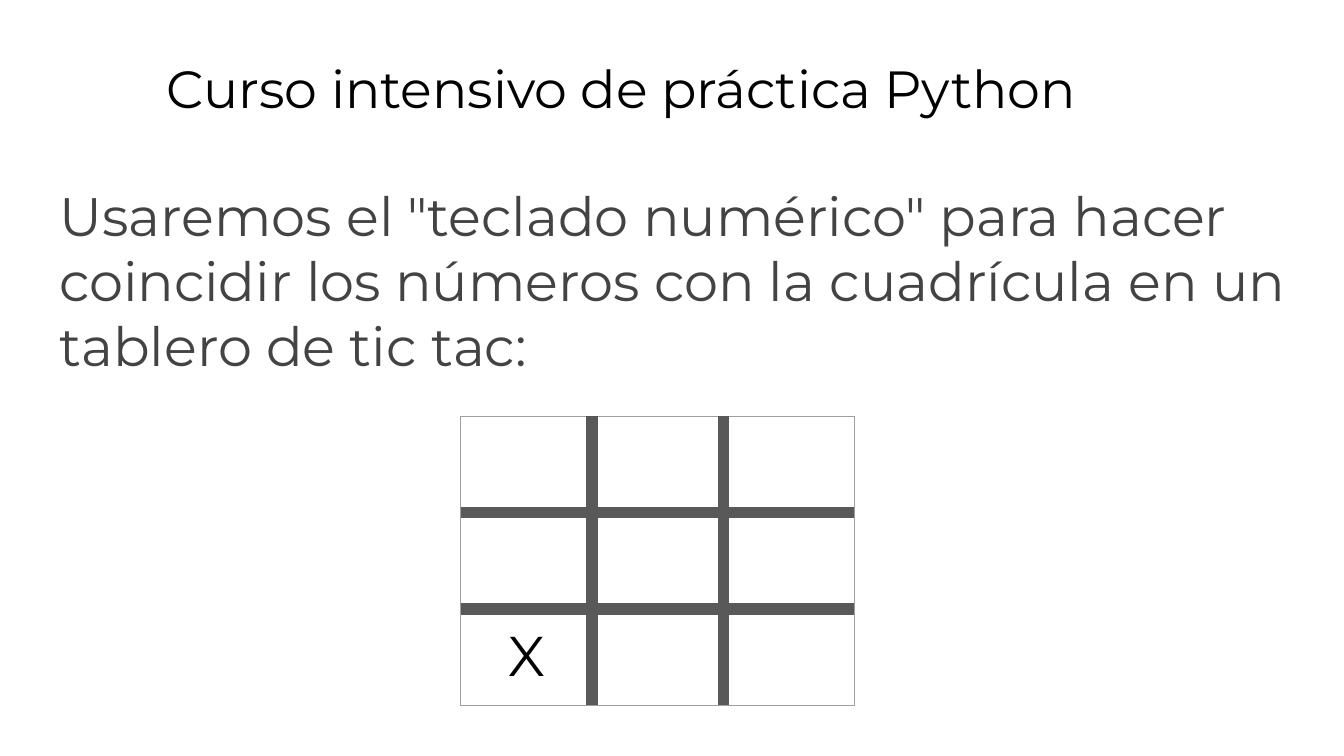
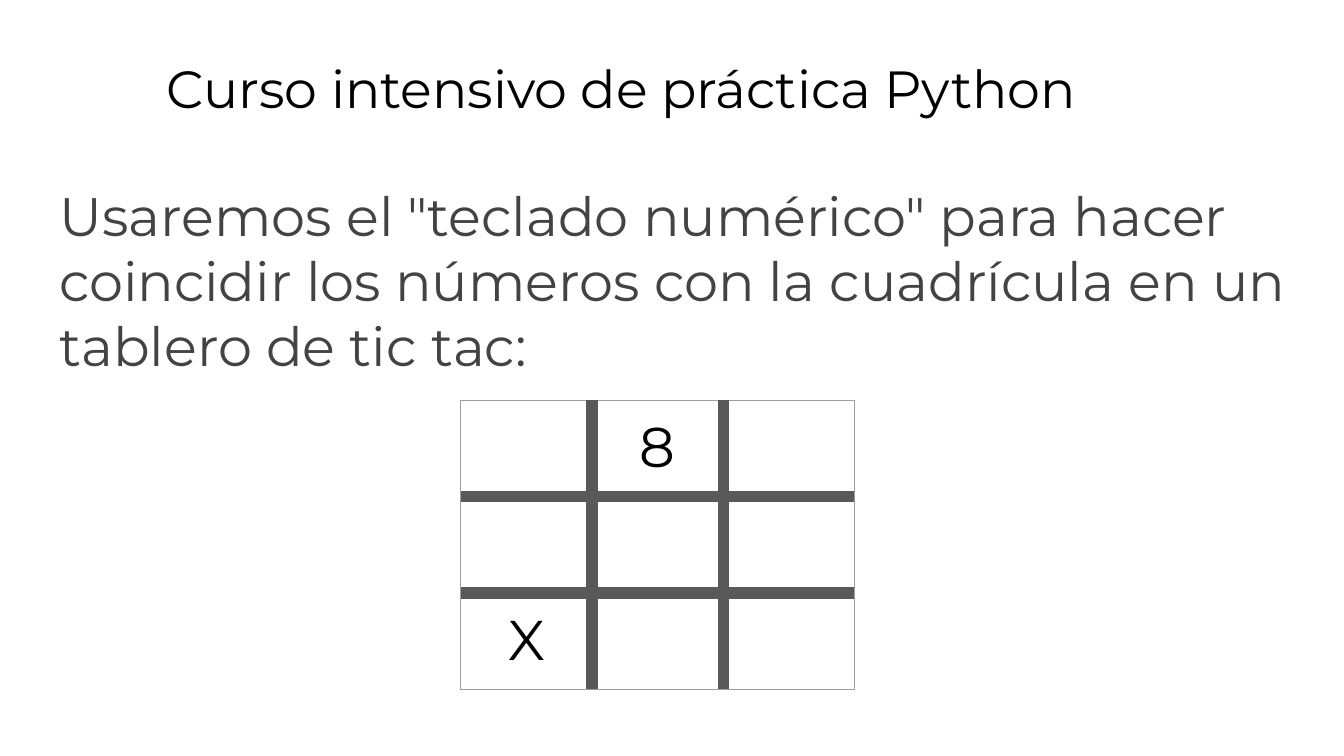
import pptx
import pptx.dml.color
import pptx.enum.shapes
import pptx.enum.text
import pptx.oxml
import pptx.oxml.ns
import pptx.util

Cm = pptx.util.Cm
Pt = pptx.util.Pt

COLORS = {
    "title": "000000",
    "body": "434343",
    "mark": "000000",
    "border": "9E9E9E",
    "bar": "595959",
}
FONT = "Montserrat"
TITLE = "Curso intensivo de práctica Python"
BODY = ('Usaremos el "teclado numérico" para hacer coincidir los números '
        "con la cuadrícula en un tablero de tic tac:")
GRID = 3
BOARD_LEFT, COL_W, ROW_H = 8.71, 2.48, 1.82

# Board top in cm, and marks keyed by (row, column)
BOARDS = [
    (7.87, {(2, 0): "X"}),
    (7.57, {(0, 1): "8", (2, 0): "X"}),
]


def rgb(name):
    """Return the named colour."""
    return pptx.dml.color.RGBColor.from_string(COLORS[name])


def set_format(obj, values):
    """Set every attribute listed in a dict."""
    for key, value in values.items():
        setattr(obj, key, value)


class Deck:
    """Holds the style, the presentation and the current slide."""

    MARGINS = {f"margin_{side}": Cm(0.25)
               for side in ("left", "top", "right", "bottom")}

    def __init__(self):
        self.prs = pptx.Presentation()
        set_format(self.prs,
                   {"slide_width": Cm(25.4), "slide_height": Cm(14.29)})
        self.s = None

    def add_slide(self):
        """Start a new blank slide."""
        self.s = self.prs.slides.add_slide(self.prs.slide_layouts[6])

    def paragraph(self, tf, text, size, color, **para):
        """Put one formatted paragraph into a text frame."""
        p = tf.paragraphs[0]
        set_format(p, para)
        r = p.add_run()
        r.text = text
        set_format(r.font, {"name": FONT, "size": Pt(size)})
        r.font.color.rgb = rgb(color)

    def text(self, box, text, size, color, **para):
        """Add a wrapping text box; box is left, top, width, height in cm."""
        tf = self.s.shapes.add_textbox(*map(Cm, box)).text_frame
        set_format(tf, {"word_wrap": True,
                        "vertical_anchor": pptx.enum.text.MSO_ANCHOR.TOP,
                        **self.MARGINS})
        self.paragraph(tf, text, size, color, **para)

    def border(self, cell):
        """Draw a thin border on all sides of a cell."""
        tc_pr = cell._tc.get_or_add_tcPr()
        for side in ("lnL", "lnR", "lnT", "lnB"):
            tc_pr.append(pptx.oxml.parse_xml(
                f'<a:{side} {pptx.oxml.ns.nsdecls("a")} w="{Pt(0.75)}">'
                f'<a:solidFill><a:srgbClr val="{COLORS["border"]}"/>'
                f'</a:solidFill></a:{side}>'))

    def table(self, top, marks):
        """Add the board's cells and the marks played in them."""
        table = self.s.shapes.add_table(
            GRID, GRID, Cm(BOARD_LEFT), Cm(top),
            Cm(GRID * COL_W), Cm(GRID * ROW_H)).table
        set_format(table, {"first_row": False, "horz_banding": False})
        for row in range(GRID):
            for col in range(GRID):
                cell = table.cell(row, col)
                set_format(cell, self.MARGINS)
                self.border(cell)
                cell.fill.background()
                if (row, col) in marks:
                    self.paragraph(
                        cell.text_frame, marks[row, col], 30, "mark",
                        alignment=pptx.enum.text.PP_ALIGN.CENTER)

    def line(self, x1, y1, x2, y2):
        """Add a thick bar between two points given in cm."""
        bar = self.s.shapes.add_connector(
            pptx.enum.shapes.MSO_CONNECTOR.STRAIGHT,
            *map(Cm, (x1, y1, x2, y2)))
        bar.line.width = Pt(6)
        bar.line.color.rgb = rgb("bar")
        bar._element.spPr.append(pptx.oxml.parse_xml(
            f'<a:effectLst {pptx.oxml.ns.nsdecls("a")}/>'))

    def board(self, top, marks):
        """Add the table and the bars over its inner edges."""
        self.table(top, marks)
        right, bottom = BOARD_LEFT + GRID * COL_W, top + GRID * ROW_H
        for i in range(1, GRID):
            x = BOARD_LEFT + i * COL_W
            self.line(x, top, x, bottom)
        for i in range(1, GRID):
            y = top + i * ROW_H
            self.line(right, y, BOARD_LEFT, y)


def main():
    """Build one slide for each board."""
    deck = Deck()
    for top, marks in BOARDS:
        deck.add_slide()
        deck.text((2.9, 0.82, 21.64, 1.6), TITLE, 28, "title")
        deck.text((0.87, 3.2, 24.13, 9.5), BODY, 29, "body",
                  space_after=Pt(16))
        deck.board(top, marks)
    deck.prs.save("out.pptx")


main()
